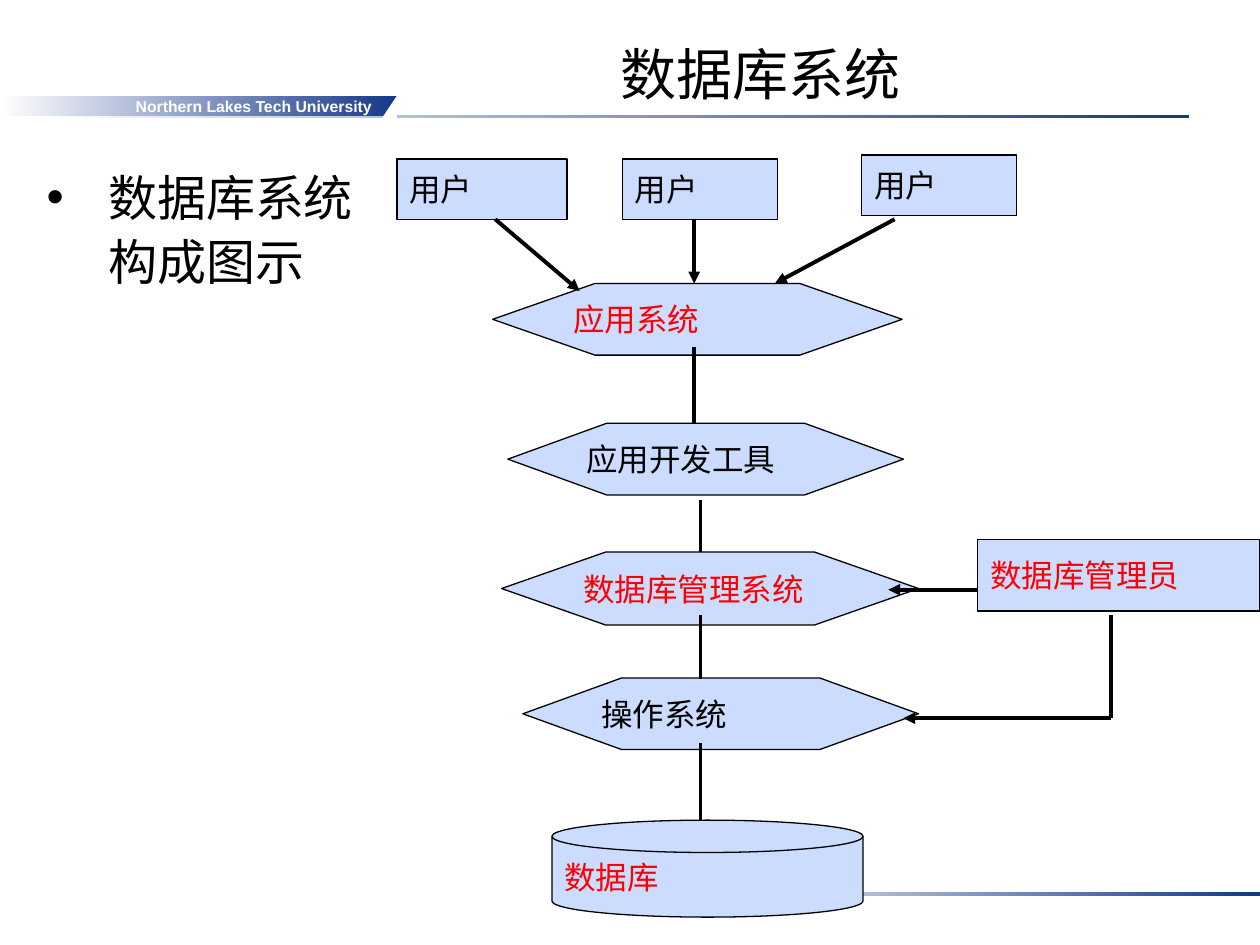
from dataclasses import dataclass

from lxml.etree import SubElement
from pptx import Presentation
from pptx.dml.color import RGBColor
from pptx.enum.shapes import MSO_CONNECTOR as Line, MSO_SHAPE as Shape
from pptx.enum.text import MSO_ANCHOR as Anchor, MSO_AUTO_SIZE as AutoSize, PP_ALIGN as Align
from pptx.oxml.ns import qn
from pptx.util import Pt


@dataclass(frozen=True)
class Theme:
    """Colours, fonts and type sizes of the slide."""
    black: str = "000000"
    white: str = "FFFFFF"
    red: str = "FF0000"
    node: str = "CBDCFF"
    rule: str = "133984"
    banner: str = "16388A"
    latin: str = "Arial"
    cjk: str = "Noto Sans CJK SC"
    title: int = 32
    body: int = 28
    label: int = 18
    small: int = 9


T = Theme()


def set_attrs(obj, values):
    """Set each attribute of an object from a dict."""
    for name, value in values.items():
        setattr(obj, name, value)


def write(sp, text, size, color, font=T.latin, bold=False, align=Align.LEFT, **frame):
    """Write one formatted paragraph into a shape and return it."""
    tf = sp.text_frame
    set_attrs(tf, {"auto_size": AutoSize.NONE, **frame})
    p = tf.paragraphs[0]
    p.alignment = align
    r = p.add_run()
    r.text = text
    set_attrs(r.font, {"name": font, "size": Pt(size), "bold": bold})
    r.font.color.rgb = RGBColor.from_string(color)
    SubElement(r.font._element, qn("a:ea"), typeface=T.cjk)
    return p


def add_block(s, kind, box, fill, end=None):
    """Add a borderless shape, with a gradient when an end colour is given."""
    sp = s.shapes.add_shape(kind, *map(Pt, box))
    sp.shadow.inherit = False
    sp.line.fill.background()
    if end:
        sp.fill.gradient()
        sp.fill.gradient_angle = 0
        for stop, color, pos in zip(sp.fill.gradient_stops, (fill, end), (0, 1)):
            stop.color.rgb = RGBColor.from_string(color)
            stop.position = pos
    else:
        sp.fill.solid()
        sp.fill.fore_color.rgb = RGBColor.from_string(fill)
    return sp


def add_banner(s, box):
    """Place the name banner with its slanted right end."""
    x, y, w, h = box
    sp = add_block(s, Shape.RECTANGLE, box, T.white, T.banner)
    write(sp, "Northern Lakes Tech University", T.small, T.white, bold=True, align=Align.RIGHT,
          word_wrap=False, vertical_anchor=Anchor.MIDDLE, margin_right=Pt(14.4))
    corner = add_block(s, Shape.RIGHT_TRIANGLE, (x + w - 8.6, y, 8.6, h + 1.4), T.white)
    corner._element.spPr.find(qn("a:xfrm")).set("flipH", "1")


def add_title(s, box):
    """Place the title."""
    sp = s.shapes.title
    set_attrs(sp, dict(zip(("left", "top", "width", "height"), map(Pt, box))))
    write(sp, "数据库系统", T.title, T.black, align=Align.CENTER,
          word_wrap=True, vertical_anchor=Anchor.BOTTOM)


def add_body(s, box):
    """Place the bulleted text."""
    sp = s.placeholders[1]
    set_attrs(sp, dict(zip(("left", "top", "width", "height"), map(Pt, box))))
    p = write(sp, "数据库系统构成图示", T.body, T.black, font=T.cjk,
              word_wrap=True, vertical_anchor=Anchor.TOP)
    set_attrs(p, {"line_spacing": 1.1, "space_before": Pt(7)})
    pPr = p._p.get_or_add_pPr()
    set_indent = {"marL": Pt(35.3), "indent": -Pt(35.3)}
    for name, value in set_indent.items():
        pPr.set(name, str(value))
    SubElement(SubElement(pPr, qn("a:buClr")), qn("a:srgbClr"), val=T.black)
    SubElement(pPr, qn("a:buFont"), typeface=T.latin)
    SubElement(pPr, qn("a:buChar"), char="•")


def add_node(s, kind, box, text, color):
    """Add an outlined and labelled diagram node."""
    sp = add_block(s, kind, box, T.node)
    sp.line.color.rgb = RGBColor.from_string(T.black)
    sp.line.width = Pt(0.75)
    if kind == Shape.HEXAGON:
        sp.adjustments[0] = box[2] / box[3] / 4
    write(sp, text, T.label, color, word_wrap=False, vertical_anchor=Anchor.MIDDLE)


def add_line(s, ends, arrow):
    """Add a straight line, with an arrowhead at its end if asked."""
    cx = s.shapes.add_connector(Line.STRAIGHT, *map(Pt, ends))
    cx.line.color.rgb = RGBColor.from_string(T.black)
    cx.line.width = Pt(2.25)
    if arrow:
        SubElement(cx.line._get_or_add_ln(), qn("a:tailEnd"), type="triangle")
    SubElement(cx._element.spPr, qn("a:effectLst"))


def add_diagram(s, box):
    """Place the layers of the database system and the lines between them."""
    x, y, w, h = box
    rect, hexagon, disk = Shape.RECTANGLE, Shape.HEXAGON, Shape.FLOWCHART_MAGNETIC_DISK
    nodes = [
        (rect, 0, 2.2, 97.2, 34.6, "用户", T.black),
        (rect, 128.9, 2.2, 88.6, 34.6, "用户", T.black),
        (rect, 265.7, 0, 88.6, 34.6, "用户", T.black),
        (hexagon, 54.7, 73.4, 234, 41, "应用系统", T.red),
        (hexagon, 63.4, 153.3, 226.1, 41, "应用开发工具", T.black),
        (hexagon, 59.8, 226.8, 238.3, 41.8, "数据库管理系统", T.red),
        (hexagon, 72, 298.8, 226.1, 41, "操作系统", T.black),
        (disk, 88.6, h - 55.4, 177.8, 55.4, "数据库", T.red),
        (rect, w - 161.3, 219.6, 161.3, 41, "数据库管理员", T.red),
    ]
    for kind, left, top, width, height, text, color in nodes:
        add_node(s, kind, (x + left, y + top, width, height), text, color)

    upper, lower, admin = 169.9, 173.5, 408.2
    lines = [
        (56.2, 36.7, 104.4, 77.7, True),
        (upper, 36.7, upper, 73.4, True),
        (284.4, 36.7, 216, 73.4, True),
        (upper, 109.4, upper, 153.3, False),
        (lower, 197.2, lower, 226.8, False),
        (lower, 262.8, lower, 299.5, False),
        (lower, 336.2, lower, h - 55.4, False),
        (w - 161.3, 248.4, 280.8, 248.4, True),
        (admin, 262.8, admin, 321.8, False),
        (admin, 321.8, 289.4, 321.8, True),
    ]
    for x1, y1, x2, y2, arrow in lines:
        add_line(s, (x + x1, y + y1, x + x2, y + y2), arrow)


def main():
    """Build and save the slide."""
    prs = Presentation()
    set_attrs(prs, {"slide_width": Pt(720), "slide_height": Pt(540)})
    s = prs.slides.add_slide(prs.slide_layouts[1])
    for box in ((22.3, 65.5, 657.4, 2.2), (380.2, 509.8, 339.8, 2)):
        add_block(s, Shape.RECTANGLE, box, T.white, T.rule)
    add_banner(s, (0, 54.7, 226.8, 11.5))
    add_title(s, (332.6, 18, 204.5, 46.8))
    add_body(s, (19.4, 88.6, 191.5, 228.2))
    add_diagram(s, (226.8, 88.6, 493.2, 435.5))
    prs.save("out.pptx")


if __name__ == "__main__":
    main()
